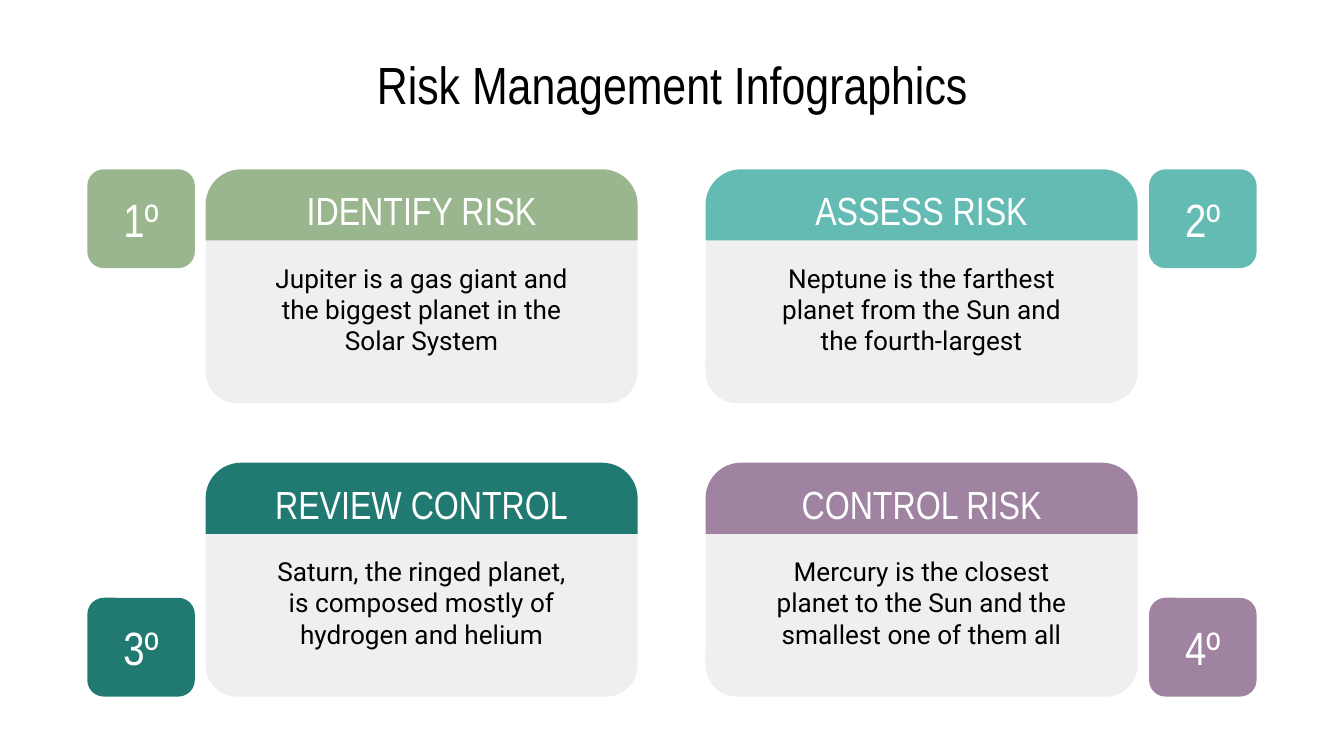
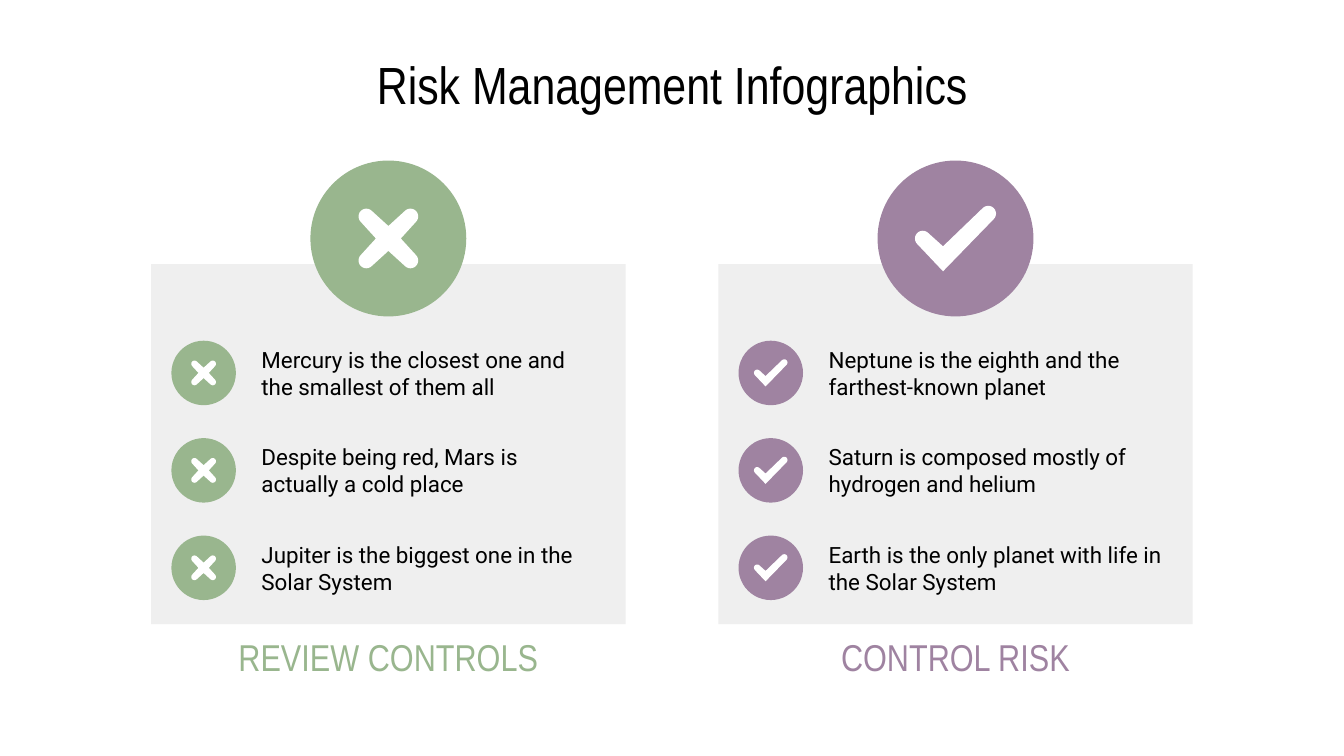
from math import cos, sin, radians
from pptx import Presentation
from pptx.dml.color import RGBColor
from pptx.enum.shapes import MSO_SHAPE
from pptx.enum.text import MSO_ANCHOR, MSO_AUTO_SIZE, PP_ALIGN
from pptx.util import Inches, Pt

COLS, ROWS = 100, 56.25
CELL = Inches(0.1)
HEAD, BODY = "Arial Narrow", "Roboto"
BLACK, WHITE, GREY = "000000", "FFFFFF", "EFEFEF"
SAGE, AQUA, TEAL, PLUM = "99B68E", "64BBB3", "217A72", "9F83A1"
TITLE = "Risk Management Infographics"

CARDS = [
    ("IDENTIFY RISK", SAGE, "Jupiter is a gas giant and the biggest planet in the Solar System"),
    ("ASSESS RISK", AQUA, "Neptune is the farthest planet from the Sun and the fourth-largest"),
    ("REVIEW CONTROL", TEAL, "Saturn, the ringed planet, is composed mostly of hydrogen and helium"),
    ("CONTROL RISK", PLUM, "Mercury is the closest planet to the Sun and the smallest one of them all"),
]


def color(code):
    """Turn a hex string into a colour."""
    return RGBColor.from_string(code)


def place(box, x, y, w, h):
    """Give a box of w by h cells, offset by x and y from the given box."""
    return box[0] + x, box[1] + y, w, h


def cells(*sizes):
    """Turn grid cells into slide units."""
    return [round(size * CELL) for size in sizes]


def paint(shape, fill):
    """Fill a shape, without line or shadow."""
    shape.fill.solid()
    shape.fill.fore_color.rgb = color(fill)
    shape.line.fill.background()
    shape.shadow.inherit = False


def write(shape, text, size, font, tint, align=PP_ALIGN.CENTER, pad=(0.1, 0.1)):
    """Set one formatted paragraph, centred in height."""
    frame = shape.text_frame
    frame.text = text
    frame.word_wrap = True
    frame.auto_size = MSO_AUTO_SIZE.NONE
    frame.vertical_anchor = MSO_ANCHOR.MIDDLE
    frame.margin_left = frame.margin_right = Inches(pad[0])
    frame.margin_top = frame.margin_bottom = Inches(pad[1])
    para = frame.paragraphs[0]
    para.alignment = align
    face = para.runs[0].font
    face.size, face.name = Pt(size), font
    face.color.rgb = color(tint)


def draw(slide, kind, box, fill, *adjust):
    """Add a filled preset shape."""
    shape = slide.shapes.add_shape(kind, *cells(*box))
    paint(shape, fill)
    for i, value in enumerate(adjust):
        shape.adjustments[i] = value
    return shape


def label(slide, box, text, size, font, tint, align):
    """Add a text box with narrow margins."""
    shape = slide.shapes.add_textbox(*cells(*box))
    write(shape, text, size, font, tint, align, (0.04, 0.02))


def start(deck):
    """Add a slide with its title."""
    slide = deck.slides.add_slide(deck.slide_layouts[5])
    title = slide.shapes.title
    title.left, title.top, title.width, title.height = cells(5, 4.5, COLS - 10, 3.5)
    write(title, TITLE, 28, HEAD, BLACK)
    return slide


def cap(x, y, turn, r):
    """List the points of a half circle that faces the given angle."""
    angles = [radians(turn + step) for step in range(-90, 91, 15)]
    return [(x + r * cos(a), y + r * sin(a)) for a in angles]


def cross():
    """Outline a cross as shares of its disc."""
    points = []
    for turn in range(45, 405, 90):
        a, b = radians(turn), radians(turn + 45)
        points += cap(0.2 * cos(a), 0.2 * sin(a), turn, 0.05)
        points.append((0.08 * cos(b), 0.08 * sin(b)))
    return points


def check():
    """Outline a check mark as shares of its disc."""
    left, right = cap(-0.21, 0, 225, 0.05), cap(0.21, -0.16, 315, 0.05)
    return left + [(-0.08, 0.05)] + right + [(-0.08, 0.21)]


def disc(slide, box, fill, mark):
    """Add a disc with a white mark on it."""
    draw(slide, MSO_SHAPE.OVAL, box, fill)
    x, y, w, h = box
    points = [cells(x + w * (0.5 + u), y + h * (0.5 + v)) for u, v in mark()]
    line = slide.shapes.build_freeform(*points[0])
    line.add_line_segments(points[1:], close=True)
    paint(line.convert_to_shape(), WHITE)


def card(slide, box, spot, name, fill, text):
    """Add a card with its header and numbered badge."""
    col, row = spot % 2, spot // 2
    w, h = box[2:]
    body = draw(slide, MSO_SHAPE.ROUNDED_RECTANGLE, place(box, 0, 3.4, w, h - 3.4), GREY, 0.167)
    write(body, text, 14, BODY, BLACK, pad=(0.4, 0.1))
    band = draw(slide, MSO_SHAPE.ROUND_2_SAME_RECTANGLE, place(box, 0, 0, w, 5.3), fill, 0.5, 0)
    write(band, name, 21, HEAD, WHITE)
    side = place(box, w + 0.85 if col else -8.8, (h - 7.35) * row, 8, 7.35)
    badge = draw(slide, MSO_SHAPE.ROUNDED_RECTANGLE, side, fill, 0.167)
    write(badge, f"{spot + 1}º", 25, HEAD, WHITE)


def panel(slide, box, name, fill, mark, items):
    """Add a panel with a large disc, marked items and a caption."""
    w, h = box[2:]
    draw(slide, MSO_SHAPE.RECTANGLE, box, GREY)
    disc(slide, place(box, (w - 11.6) / 2, -7.7, 11.6, 11.6), fill, mark)
    for i, text in enumerate(items):
        y = 5.7 + 7.25 * i
        disc(slide, place(box, 1.5, y, 4.8, 4.8), fill, mark)
        label(slide, place(box, 7.8, y + 0.45, 25.9, 3.9), text, 12, BODY, BLACK, PP_ALIGN.LEFT)
    label(slide, place(box, (w - 27) / 2, h + 0.4, 27, 4), name, 20, HEAD, fill, PP_ALIGN.CENTER)


def steps(deck):
    """Build the slide of four numbered cards."""
    slide = start(deck)
    for i, (name, fill, text) in enumerate(CARDS):
        box = 15.3 + 37.2 * (i % 2), 12.6 + 21.83 * (i // 2), 32.15, 17.4
        card(slide, box, i, name, fill, text)


def pair(deck):
    """Build the slide of two facing panels."""
    slide = start(deck)
    panel(slide, (11.25, 19.65, 35.3, 26.8), "REVIEW CONTROLS", SAGE, cross, [
        "Mercury is the closest one and the smallest of them all",
        "Despite being red, Mars is actually a cold place",
        "Jupiter is the biggest one in the Solar System",
    ])
    panel(slide, (53.45, 19.65, 35.3, 26.8), "CONTROL RISK", PLUM, check, [
        "Neptune is the eighth and the farthest-known planet",
        "Saturn is composed mostly of hydrogen and helium",
        "Earth is the only planet with life in the Solar System",
    ])


def main():
    """Build and save the deck."""
    deck = Presentation()
    deck.slide_width, deck.slide_height = cells(COLS, ROWS)
    steps(deck)
    pair(deck)
    deck.save("out.pptx")


if __name__ == "__main__":
    main()
